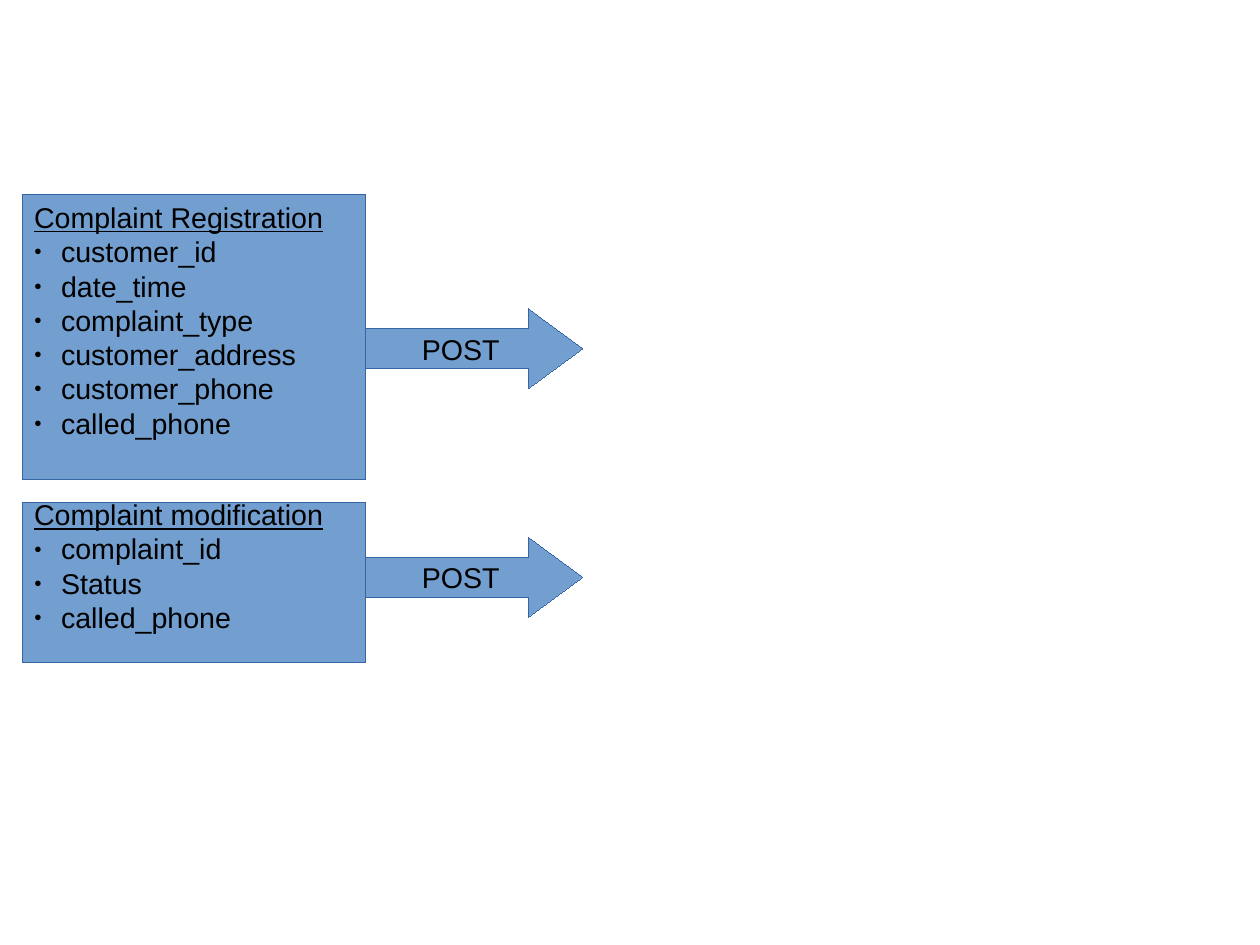
"""Build a slide of two complaint records, each sent on by a POST arrow."""
from lxml.etree import SubElement
from pptx import Presentation
from pptx.dml.color import RGBColor
from pptx.enum.shapes import MSO_SHAPE as Shape
from pptx.enum.text import MSO_ANCHOR as Anchor, PP_ALIGN as Align
from pptx.oxml.ns import qn
from pptx.util import Cm, Inches, Pt

FILL = RGBColor(0x72, 0x9F, 0xCF)
OUTLINE = RGBColor(0x34, 0x65, 0xA4)
BLACK = RGBColor(0, 0, 0)

BOX_LEFT, BOX_WIDTH = 0.2, 3
ARROW_WIDTH, ARROW_HEIGHT = 1.9, 0.7
LINE_HEIGHT = 0.3
INDENT = Cm(0.6)
HAIRLINE = Pt(0.01)

RECORDS = [
    (1.7, 2.5, 2.7, "Complaint Registration",
     ["customer_id", "date_time", "complaint_type", "customer_address",
      "customer_phone", "called_phone"]),
    (4.4, 1.4, 4.7, "Complaint modification",
     ["complaint_id", "Status", "called_phone"]),
]


def add_block(slide, kind, left, top, width, height, lines, align):
    """Add a filled shape holding one paragraph per line."""
    shape = slide.shapes.add_shape(
        kind, Inches(left), Inches(top), Inches(width), Inches(height))
    shape.shadow.inherit = False
    shape.fill.solid()
    shape.fill.fore_color.rgb = FILL
    shape.line.color.rgb = OUTLINE
    shape.line.width = HAIRLINE
    frame = shape.text_frame
    frame.word_wrap = True
    frame.vertical_anchor = Anchor.MIDDLE
    frame.text = "\n".join(lines)
    for paragraph in frame.paragraphs:
        paragraph.alignment = align
        for run in paragraph.runs:
            run.font.name = "Arial"
            run.font.size = Pt(18)
            run.font.color.rgb = BLACK
    return shape


def add_bullet(paragraph):
    """Give a paragraph a small round bullet and a hanging indent."""
    properties = paragraph._p.get_or_add_pPr()
    properties.set("marL", str(INDENT))
    properties.set("indent", str(-INDENT))
    color = SubElement(properties, qn("a:buClr"))
    SubElement(color, qn("a:srgbClr")).set("val", str(BLACK))
    SubElement(properties, qn("a:buSzPct")).set("val", "45000")
    SubElement(properties, qn("a:buFont")).set("typeface", "Arial")
    SubElement(properties, qn("a:buChar")).set("char", "●")


def add_record(slide, top, height, heading, fields):
    """Add a box with an underlined heading and bulleted fields."""
    box = add_block(slide, Shape.RECTANGLE, BOX_LEFT, top, BOX_WIDTH, height,
                    [heading, *fields], Align.LEFT)
    frame = box.text_frame
    frame.margin_bottom = Inches(0.05 + LINE_HEIGHT)
    frame.paragraphs[0].runs[0].font.underline = True
    for paragraph in frame.paragraphs[1:]:
        add_bullet(paragraph)


def add_post_arrow(slide, top):
    """Add the POST arrow at the right side of the boxes."""
    arrow = add_block(slide, Shape.RIGHT_ARROW, BOX_LEFT + BOX_WIDTH, top,
                      ARROW_WIDTH, ARROW_HEIGHT, ["POST"], Align.CENTER)
    arrow.adjustments[0] = 0.5
    arrow.adjustments[1] = 0.68


def main():
    """Build and save the slide."""
    presentation = Presentation()
    presentation.slide_width = Cm(28)
    presentation.slide_height = Cm(21)
    slide = presentation.slides.add_slide(presentation.slide_layouts[6])
    for top, height, arrow_top, heading, fields in RECORDS:
        add_record(slide, top, height, heading, fields)
        add_post_arrow(slide, arrow_top)
    presentation.save("out.pptx")


if __name__ == "__main__":
    main()
